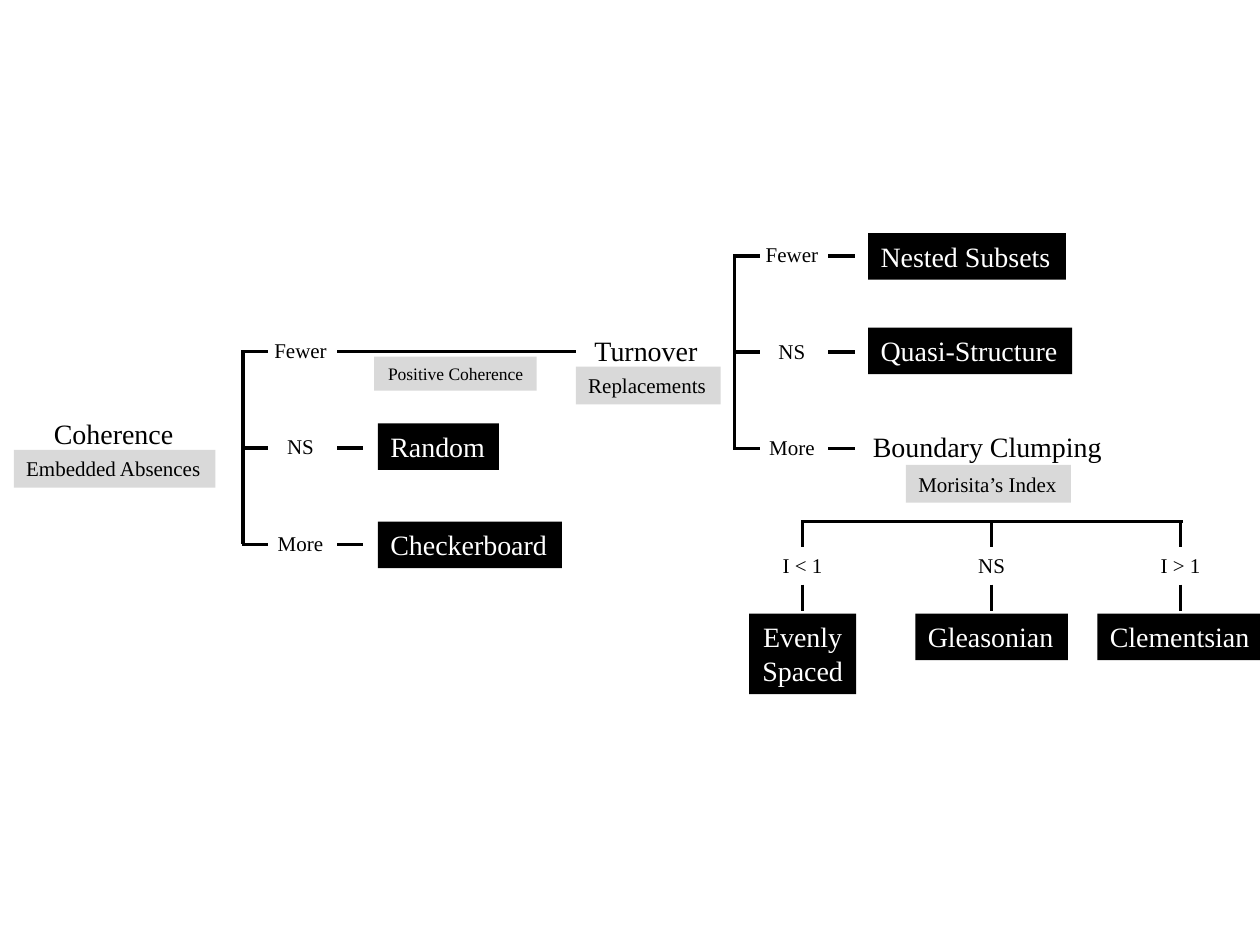
from lxml import etree
from pptx import Presentation, util as u
from pptx.dml.color import RGBColor
from pptx.enum import shapes, text
from pptx.oxml import ns

BLACK = RGBColor(0, 0, 0)
WHITE = RGBColor(255, 255, 255)
GREY = RGBColor(0xD9, 0xD9, 0xD9)
LEFT, CENTER = text.PP_ALIGN.LEFT, text.PP_ALIGN.CENTER

# Grid: 1000 columns by 750 rows over the whole slide
WIDTH, HEIGHT = u.Inches(10), u.Inches(7.5)
CELL = WIDTH // 1000
TICK = 21    # short line at a fork
ROW16, ROW12, ROW10 = 37, 30, 27    # box heights for each text size

HEADING = dict(size=16, color=BLACK, fill=None, align=LEFT, height=ROW16)
OUTCOME = dict(size=16, color=WHITE, fill=BLACK, align=LEFT, height=ROW16)
STACKED = dict(OUTCOME, align=CENTER, height=64)
TEST = dict(size=12, color=BLACK, fill=GREY, align=LEFT, height=ROW12)
NOTE = dict(TEST, size=10, align=CENTER, height=ROW10)
BRANCH = dict(size=12, color=BLACK, fill=None, align=CENTER, height=ROW12)
BRANCH_WIDTHS = {"Fewer": 62, "More": 57, "NS": 43, "I < 1": 52, "I > 1": 52}


def grid(*cells):
    return [round(c * CELL) for c in cells]


def label(s, words, style, x, y, w):
    """Place a text label with its top left corner at column x, row y."""
    frame = grid(x, y, w, style["height"])
    if style["fill"] is None:
        sp = s.shapes.add_textbox(*frame)
    else:
        sp = s.shapes.add_shape(shapes.MSO_SHAPE.RECTANGLE, *frame)
        sp.shadow.inherit = False
        sp.fill.solid()
        sp.fill.fore_color.rgb = style["fill"]
        sp.line.fill.background()
    tf = sp.text_frame
    tf.text = words
    settings = dict(word_wrap=False, vertical_anchor=text.MSO_ANCHOR.TOP,
                    auto_size=text.MSO_AUTO_SIZE.SHAPE_TO_FIT_TEXT)
    for name, value in settings.items():
        setattr(tf, name, value)
    font = dict(name="Times New Roman", size=u.Pt(style["size"]))
    for p in tf.paragraphs:
        p.alignment = style["align"]
        for r in p.runs:
            for name, value in font.items():
                setattr(r.font, name, value)
            r.font.color.rgb = style["color"]


def line(s, x1, y1, x2, y2):
    c = s.shapes.add_connector(shapes.MSO_CONNECTOR.STRAIGHT, *grid(x1, y1, x2, y2))
    c.line.color.rgb = BLACK
    c.line.width = u.Pt(2)
    etree.SubElement(c._element.spPr, ns.qn("a:effectLst"))


def branch(s, words, cx, cy):
    w = BRANCH_WIDTHS[words]
    label(s, words, BRANCH, cx - w / 2, cy - ROW12 / 2, w)


def side_fork(s, x, y, h, links):
    """Upright spine with three branches, each followed by a link of given length."""
    line(s, x + 1, y - 1, x + 1, y + h)
    for i, (words, length) in enumerate(zip(("Fewer", "NS", "More"), links)):
        row = y + i * h / 2
        line(s, x, row, x + TICK, row)
        branch(s, words, x + 46.5, row - 1)
        line(s, x + 75.5, row, x + 75.5 + length, row)


def coherence(s, x, y):
    label(s, "Coherence", HEADING, x + 22, y + 66, 116)
    label(s, "Embedded Absences", TEST, x, y + 97, 160)
    side_fork(s, x + 181, y + 19, 153, (190, TICK, TICK))
    label(s, "Positive Coherence", NOTE, x + 286, y + 23, 129)
    label(s, "Random", OUTCOME, x + 289, y + 76, 96)
    label(s, "Checkerboard", OUTCOME, x + 289, y + 154, 146)


def turnover(s, x, y):
    label(s, "Turnover", HEADING, x + 5, y + 75, 103)
    label(s, "Replacements", TEST, x, y + 106, 115)
    side_fork(s, x + 125, y + 18, 153, (TICK, TICK, TICK))
    label(s, "Nested Subsets", OUTCOME, x + 232, y, 157)
    label(s, "Quasi-Structure", OUTCOME, x + 232, y + 75, 162)


def clumping(s, x, y, w):
    label(s, "Boundary Clumping", HEADING, x + 46, y, 204)
    label(s, "Morisita’s Index", TEST, x + 82, y + 33, 131)
    # Level bar with three drops
    line(s, x - 1, y + 78, x + w + 2, y + 78)
    ends = (("I < 1", "Evenly\nSpaced", STACKED, 85),
            ("NS", "Gleasonian", OUTCOME, 121),
            ("I > 1", "Clementsian", OUTCOME, 132))
    for i, (words, outcome, style, width) in enumerate(ends):
        cx = x + i * w / 2
        line(s, cx, y + 77, cx, y + 77 + TICK)
        branch(s, words, cx, y + 113)
        line(s, cx, y + 128, cx, y + 128 + TICK)
        label(s, outcome, style, cx - width / 2, y + 151, width)


def main():
    prs = Presentation()
    prs.slide_width, prs.slide_height = WIDTH, HEIGHT
    s = prs.slides.add_slide(prs.slide_layouts[6])
    coherence(s, 11, 260)
    turnover(s, 457, 185)
    clumping(s, 637, 336, 300)
    prs.save("out.pptx")


if __name__ == "__main__":
    main()
